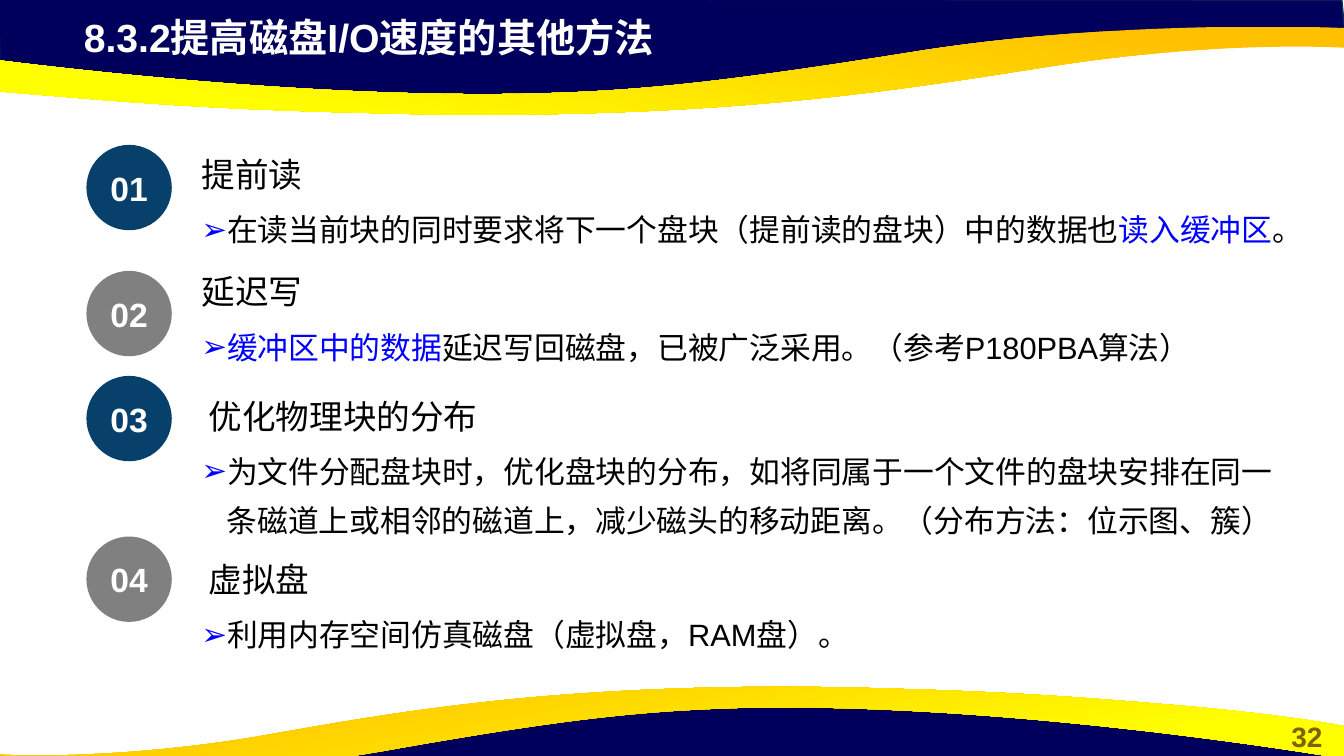
from lxml import etree
from pptx import Presentation
from pptx.dml.color import RGBColor
from pptx.enum.lang import MSO_LANGUAGE_ID
from pptx.enum.shapes import MSO_SHAPE
from pptx.enum.text import MSO_ANCHOR, PP_ALIGN
from pptx.oxml.ns import qn
from pptx.util import Pt

BLACK, BLUE, WHITE = "000000", "0000FF", "FFFFFF"
NAVY, ORANGE, YELLOW = "00005C", "FFC000", "FFFF00"


def rgb(color):
    return RGBColor.from_string(color)


def write(frame, runs, size, bold=False, **formats):
    frame.word_wrap = True
    paragraph = frame.paragraphs[0]
    for name, value in formats.items():
        setattr(paragraph, name, value)
    for text, color in runs:
        run = paragraph.add_run()
        run.text = text
        run.font.color.rgb = rgb(color)
        looks = {"name": "Arial", "size": Pt(size), "bold": bold,
                 "language_id": MSO_LANGUAGE_ID.SIMPLIFIED_CHINESE}
        for name, value in looks.items():
            setattr(run.font, name, value)
    return paragraph


deck = Presentation()
deck.slide_width, deck.slide_height = Pt(960), Pt(540)
shapes = deck.slides.add_slide(deck.slide_layouts[6]).shapes

top_navy = [(-1, -1), (0, 50), (211, 73.5), (402.5, 72), (572.5, 63.5),
            (731.5, 36), (891.5, 24), (961, 27.5), (958.5, 0)]
top_ribbon = [(348, 82), (319, 82, 289, 81.5, 256.5, 80.5),
              (148.5, 78, 79, 72, 26, 67.5), (-63.5, 60.5, -93.5, 54, -96, 54),
              (-96, 30, -96, 30, -96, 30), (-96, 30, 157, 70.5, 372, 67),
              (450.5, 65.5, 510, 60, 659, 36), (807, 13, 960, 20, 960, 20),
              (960, 23), (960, 34), (957.5, 34),
              (939.5, 33, 860.5, 31, 759.5, 46), (661, 61, 548.5, 81.5, 348, 82)]
bottom_navy = [(960, 571.5), (959, 521.5), (749, 497.5), (556.5, 499),
               (387.5, 508.5), (228, 535), (68.5, 547), (-2, 544.5), (0.5, 571)]
bottom_ribbon = [(556, 490.5), (582.5, 490.5, 610, 491, 639.5, 492),
                 (738, 494.5, 800.5, 500.5, 849, 504.5),
                 (930, 512, 957.5, 518.5, 960, 518.5),
                 (960, 542, 960, 542, 960, 542), (960, 542, 730, 502, 534, 505.5),
                 (462, 507.5, 408, 512.5, 273.5, 536.5),
                 (138, 560, -1, 553, -1, 553), (-1, 550), (-1, 538.5), (1.5, 539),
                 (18, 540, 90, 541.5, 181.5, 526.5),
                 (270.5, 511, 373.5, 491, 556, 490.5)]

for outline, angle in [(top_navy, None), (top_ribbon, 260),
                       (bottom_navy, None), (bottom_ribbon, 280)]:
    ends = [(Pt(segment[-2]), Pt(segment[-1])) for segment in outline]
    builder = shapes.build_freeform(*ends[0])
    builder.add_line_segments(ends[1:], close=angle is None)
    wave = builder.convert_to_shape()
    wave.shadow.inherit = False
    lines = list(wave._element.iter(qn("a:lnTo")))
    for line, segment in zip(lines, outline[1:]):
        if len(segment) == 6:
            curve = etree.Element(qn("a:cubicBezTo"))
            for x, y in zip(segment[::2], segment[1::2]):
                etree.SubElement(curve, qn("a:pt"), x=str(Pt(x) - wave.left),
                                 y=str(Pt(y) - wave.top))
            line.getparent().replace(line, curve)
    if angle:
        wave.fill.gradient()
        wave.fill.gradient_angle = angle
        stops = [(0.11, ORANGE), (0.78, YELLOW)]
        for stop, (position, color) in zip(wave.fill.gradient_stops, stops):
            stop.position = position
            stop.color.rgb = rgb(color)
        wave.line.fill.background()
    else:
        wave.fill.solid()
        wave.fill.fore_color.rgb = rgb(NAVY)
        wave.line.color.rgb = rgb("05304F")
        wave.line.width = Pt(1)

page_number = shapes.add_textbox(Pt(907.25), Pt(510.5), Pt(52.5), Pt(31.5))
write(page_number.text_frame, [("32", "806000")], 20, True, alignment=PP_ALIGN.CENTER)
title = shapes.add_textbox(Pt(52.75), Pt(6.25), Pt(553), Pt(41))
write(title.text_frame, [("8.3.2提高磁盘I/O速度的其他方法", WHITE)], 28, True)

methods = [
    (103.5, 137, 97.25, "提前读", 49, [
        ("在读当前块的同时要求将下一个盘块（提前读的盘块）中的数据也", BLACK),
        ("读入缓冲区", BLUE), ("。", BLACK)]),
    (193.5, 137, 181, "延迟写", 49, [
        ("缓冲区中的数据", BLUE),
        ("延迟写回磁盘，已被广泛采用。（参考P180PBA算法）", BLACK)]),
    (268.5, 142, 270, "优化物理块的分布", 74, [
        ("为文件分配盘块时，优化盘块的分布，如将同属于一个文件的盘块安排在同一"
         "条磁道上或相邻的磁道上，减少磁头的移动距离。（分布方法：位示图、簇）", BLACK)]),
    (383.25, 142, 386.5, "虚拟盘", 47.5, [
        ("利用内存空间仿真磁盘（虚拟盘，RAM盘）。", BLACK)]),
]
for number, (badge_top, left, top, name, height, details) in enumerate(methods, 1):
    badge = shapes.add_shape(MSO_SHAPE.OVAL, Pt(61.75), Pt(badge_top), Pt(61), Pt(61))
    badge.shadow.inherit = False
    badge.fill.solid()
    badge.fill.fore_color.rgb = rgb("07416B" if number % 2 else "808080")
    badge.line.fill.background()
    badge.text_frame.vertical_anchor = MSO_ANCHOR.MIDDLE
    write(badge.text_frame, [(f"{number:02}", WHITE)], 24, True,
          alignment=PP_ALIGN.CENTER)

    heading = shapes.add_textbox(Pt(left), Pt(top), Pt(407), Pt(41))
    write(heading.text_frame, [(name, BLACK)], 24, line_spacing=1.32)

    detail = shapes.add_textbox(Pt(100.75), Pt(top + 41.5), Pt(819), Pt(height))
    paragraph = write(detail.text_frame, details, 22, line_spacing=1.32, level=1)
    properties = paragraph._p.get_or_add_pPr()
    properties.set("marL", str(Pt(54)))
    properties.set("indent", str(Pt(-18)))
    bullet_color = etree.SubElement(properties, qn("a:buClr"))
    etree.SubElement(bullet_color, qn("a:srgbClr"), val=BLUE)
    etree.SubElement(properties, qn("a:buFont"), typeface="Arial")
    etree.SubElement(properties, qn("a:buChar"), char="➢")

deck.save("out.pptx")
